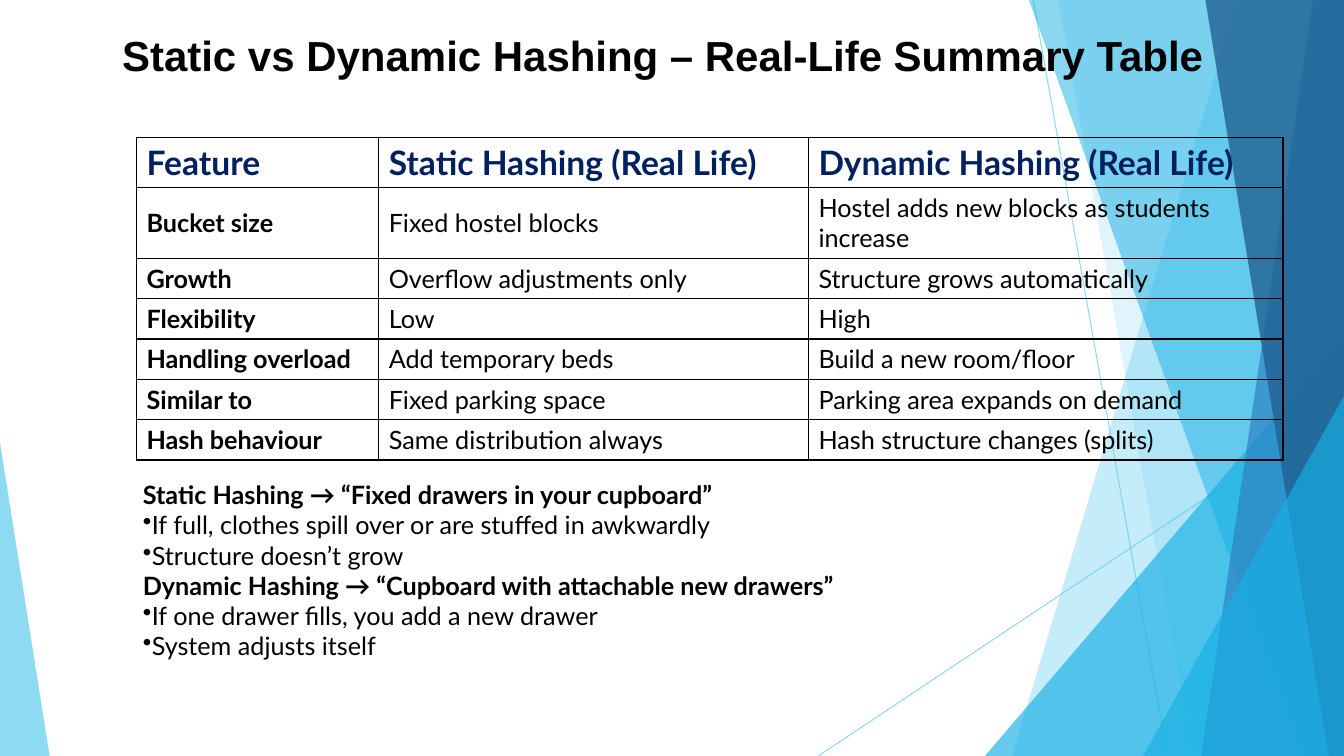
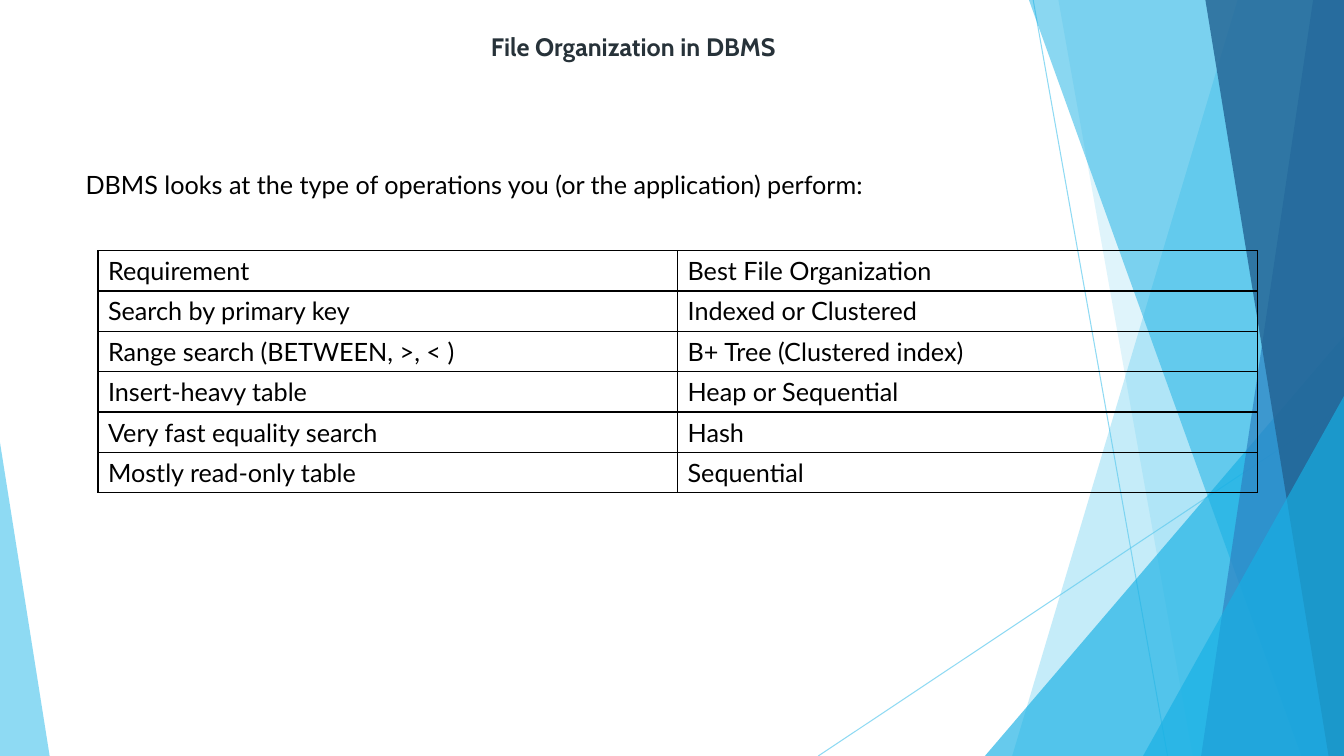
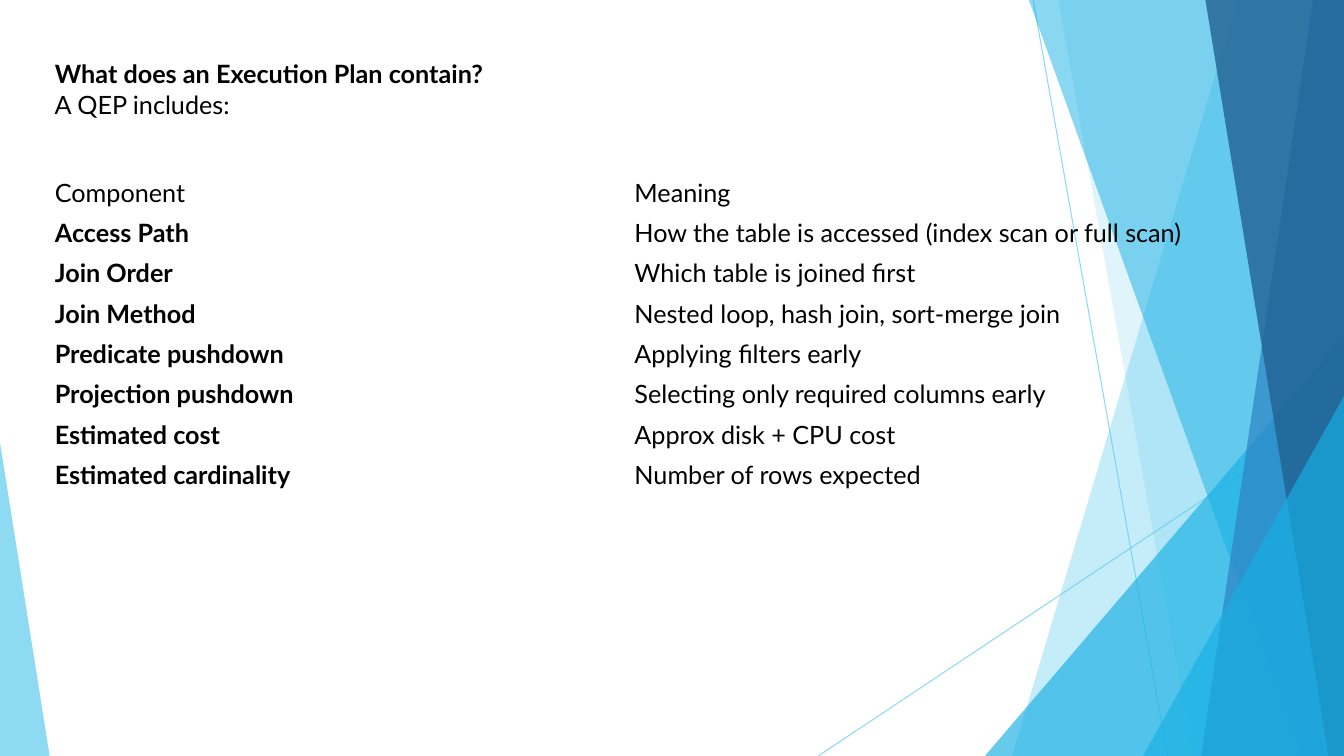
from dataclasses import dataclass

from lxml import etree
from pptx import Presentation
from pptx.dml.color import RGBColor
from pptx.enum import shapes, text
from pptx.oxml import ns
from pptx.util import Pt


@dataclass(frozen=True)
class Theme:
    wide: float = 960
    high: float = 540
    black: str = "000000"
    slate: str = "273239"
    navy: str = "002060"
    sky: str = "5FCBEF"
    cyan: str = "17B0E4"
    blue: str = "2E83C3"
    deep: str = "226292"
    font: str = "Lato"
    body: float = 18
    head: float = 24
    big: float = 30
    row: float = 28.8
    hair: float = 0.75
    rule: float = 1


def sub(node, tag, **attrs):
    return etree.SubElement(node, ns.qn(tag), **attrs)


def fade(shape, share):
    """Set the opacity, in percent, of the shape's one colour."""
    color = shape.element.spPr.find(".//" + ns.qn("a:srgbClr"))
    sub(color, "a:alpha", val=str(share * 1000))


class Deck:
    def __init__(self, theme):
        self.t = theme
        self.prs = Presentation()
        self.prs.slide_width = Pt(theme.wide)
        self.prs.slide_height = Pt(theme.high)
        self.base = self.prs.slide_layouts[5]
        self.slide = None

    def run(self, para, words, size=None, color=None, bold=False, font=None):
        run = para.add_run()
        run.text = words
        run.font.name = font or self.t.font
        run.font.size = Pt(size or self.t.body)
        run.font.bold = bold
        run.font.color.rgb = RGBColor.from_string(color or self.t.black)

    def add(self, words, left, top, width, height, **style):
        """Start a slide with its title."""
        self.slide = self.prs.slides.add_slide(self.base)
        title = self.slide.shapes.title
        title.left, title.top = Pt(left), Pt(top)
        title.width, title.height = Pt(width), Pt(height)
        frame = title.text_frame
        frame.word_wrap = True
        frame.auto_size = text.MSO_AUTO_SIZE.NONE
        frame.vertical_anchor = text.MSO_ANCHOR.MIDDLE
        para = frame.paragraphs[0]
        para.alignment = text.PP_ALIGN.LEFT
        self.run(para, words, bold=True, **style)

    def line(self, x1, y1, x2, y2):
        line = self.slide.shapes.add_connector(
            shapes.MSO_CONNECTOR.STRAIGHT, Pt(x1), Pt(y1), Pt(x2), Pt(y2))
        line.line.color.rgb = RGBColor.from_string(self.t.sky)
        line.line.width = Pt(self.t.hair)
        fade(line, 70)
        sub(line.element.spPr, "a:effectLst")

    def paint(self, shape, color, share):
        shape.shadow.inherit = False
        shape.line.fill.background()
        shape.fill.solid()
        shape.fill.fore_color.rgb = RGBColor.from_string(color)
        fade(shape, share)

    def band(self, top, foot, color, share):
        """Fill from a slanted left edge to the right side of the slide."""
        wide, high = Pt(self.t.wide), Pt(self.t.high)
        form = self.slide.shapes.build_freeform(Pt(top), 0)
        form.add_line_segments([(wide, 0), (wide, high), (Pt(foot), high)])
        self.paint(form.convert_to_shape(), color, share)

    def wedge(self, left, top, width, peak, color, share):
        """Stand a right triangle on the bottom edge; peak 0 is left, 1 right."""
        shape = self.slide.shapes.add_shape(
            shapes.MSO_SHAPE.ISOSCELES_TRIANGLE,
            Pt(left), Pt(top), Pt(width), Pt(self.t.high - top))
        shape.adjustments[0] = peak
        self.paint(shape, color, share)

    def backdrop(self):
        """Draw the shared artwork and move it to the layout."""
        t = self.t
        self.line(738, 0, 834, 540)
        self.line(960, 290, 584.5, 540)
        self.band(884, 723, t.sky, 36)
        self.band(756, 852, t.sky, 20)
        self.wedge(703.5, 240, 256.5, 1, t.cyan, 66)
        self.band(735, 929.5, t.cyan, 50)
        self.band(938, 858, t.blue, 70)
        self.band(861, 949, t.deep, 80)
        self.wedge(816.5, 283, 143.5, 1, t.cyan, 66)
        self.wedge(0, 316, 35.5, 0, t.sky, 70)
        tree = self.base.shapes.element
        for mark in list(self.base.placeholders):
            if mark.placeholder_format.idx:
                tree.remove(mark.element)
        for shape in list(self.slide.shapes):
            if not shape.is_placeholder:
                tree.append(shape.element)

    def note(self, left, top, width, height, *lines):
        """Add text; a leading * makes a line bold, a leading - a bullet."""
        box = self.slide.shapes.add_textbox(
            Pt(left), Pt(top), Pt(width), Pt(height))
        frame = box.text_frame
        frame.word_wrap = True
        for i, words in enumerate(lines):
            para = frame.add_paragraph() if i else frame.paragraphs[0]
            if words[0] == "-":
                props = para._p.get_or_add_pPr()
                sub(props, "a:buChar", char="•")
            self.run(para, words.lstrip("*-"), bold=words[0] == "*")

    def edge(self, cell, ruled):
        props = cell._tc.get_or_add_tcPr()
        for side in "LRTB":
            line = sub(props, "a:ln" + side, w=str(Pt(self.t.rule)))
            if ruled:
                fill = sub(line, "a:solidFill")
                sub(fill, "a:srgbClr", val=self.t.black)
            else:
                sub(line, "a:noFill")

    def table(self, left, top, cols, rows, ruled=True, keyed=False,
              head=None, tall=None):
        """Add a table; keyed bolds the first column, tall maps row to height."""
        tall = tall or {}
        highs = [tall.get(r, self.t.row) for r in range(len(rows))]
        grid = self.slide.shapes.add_table(
            len(rows), len(cols), Pt(left), Pt(top),
            Pt(sum(cols)), Pt(sum(highs))).table
        grid.first_row = grid.horz_banding = False
        for col, width in zip(grid.columns, cols):
            col.width = Pt(width)
        for r, (row, high) in enumerate(zip(rows, highs)):
            grid.rows[r].height = Pt(high)
            for c, words in enumerate(row):
                cell = grid.cell(r, c)
                self.edge(cell, ruled)
                cell.fill.background()
                cell.vertical_anchor = text.MSO_ANCHOR.MIDDLE
                style = {"bold": keyed and c == 0 and r > 0}
                if r == 0 and head:
                    style = head
                self.run(cell.text_frame.paragraphs[0], words, **style)


def main():
    t = Theme()
    deck = Deck(t)

    deck.add("Static vs Dynamic Hashing – Real-Life Summary Table",
             80, 21, 840, 36, size=t.big, font="Arial")
    deck.backdrop()
    deck.table(97.5, 98, [173, 307, 339], [
        ("Feature", "Static Hashing (Real Life)", "Dynamic Hashing (Real Life)"),
        ("Bucket size", "Fixed hostel blocks",
         "Hostel adds new blocks as students increase"),
        ("Growth", "Overflow adjustments only", "Structure grows automatically"),
        ("Flexibility", "Low", "High"),
        ("Handling overload", "Add temporary beds", "Build a new room/floor"),
        ("Similar to", "Fixed parking space", "Parking area expands on demand"),
        ("Hash behaviour", "Same distribution always",
         "Hash structure changes (splits)"),
    ], keyed=True, tall={0: 36, 1: 50.4},
        head={"size": t.head, "color": t.navy, "bold": True})
    deck.note(95, 339, 681, 138,
              "*Static Hashing → “Fixed drawers in your cupboard”",
              "-If full, clothes spill over or are stuffed in awkwardly",
              "-Structure doesn’t grow",
              "*Dynamic Hashing → “Cupboard with attachable new drawers”",
              "-If one drawer fills, you add a new drawer",
              "-System adjusts itself")

    deck.add("File Organization in DBMS", 343.5, 19, 242, 29,
             color=t.slate, font="Cabin")
    deck.note(54, 117.5, 771, 29,
              "DBMS looks at the type of operations you (or the application) "
              "perform:")
    deck.table(70, 179, [414, 414], [
        ("Requirement", "Best File Organization"),
        ("Search by primary key", "Indexed or Clustered"),
        ("Range search (BETWEEN, >, < )", "B+ Tree (Clustered index)"),
        ("Insert-heavy table", "Heap or Sequential"),
        ("Very fast equality search", "Hash"),
        ("Mostly read-only table", "Sequential"),
    ])

    deck.add("What does an Execution Plan contain?", 32, 38, 480, 29)
    deck.note(32, 60, 480, 29, "A QEP includes:")
    deck.table(32, 123, [414, 414], [
        ("Component", "Meaning"),
        ("Access Path", "How the table is accessed (index scan or full scan)"),
        ("Join Order", "Which table is joined first"),
        ("Join Method", "Nested loop, hash join, sort-merge join"),
        ("Predicate pushdown", "Applying filters early"),
        ("Projection pushdown", "Selecting only required columns early"),
        ("Estimated cost", "Approx disk + CPU cost"),
        ("Estimated cardinality", "Number of rows expected"),
    ], ruled=False, keyed=True)

    deck.prs.save("out.pptx")


if __name__ == "__main__":
    main()
